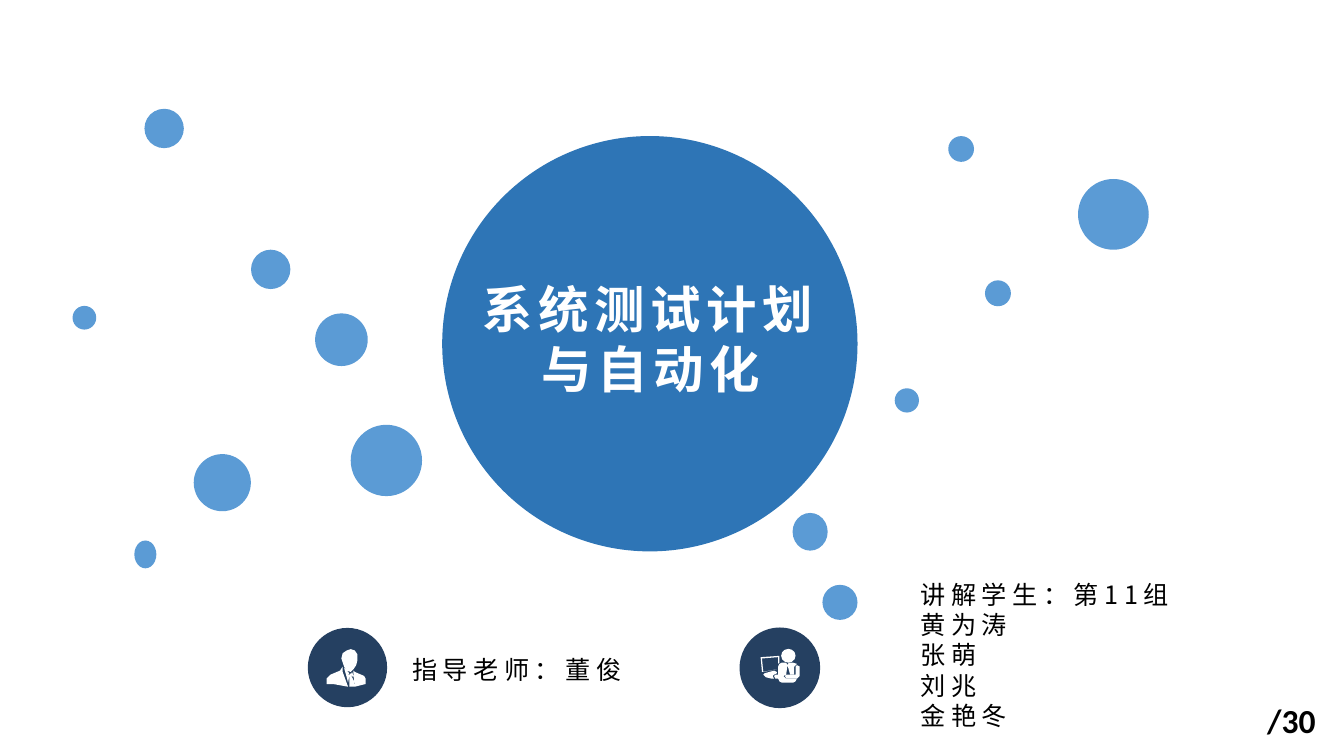
"""Build the title slide of a system test plan talk."""
from dataclasses import dataclass
from typing import Any

from lxml import etree
from pptx import Presentation
from pptx import util as u
from pptx.dml.color import RGBColor
from pptx.enum import shapes, text
from pptx.oxml.ns import qn

WHITE = RGBColor(0xFF, 0xFF, 0xFF)
BLACK = RGBColor(0x00, 0x00, 0x00)
BLUE = RGBColor(0x2E, 0x75, 0xB6)
LIGHT_BLUE = RGBColor(0x5B, 0x9B, 0xD5)
NAVY = RGBColor(0x25, 0x40, 0x61)
CJK = "Noto Sans CJK SC"
GRID = u.Pt(0.72)

Outline = list[tuple[int, int]]


@dataclass(frozen=True)
class Circle:
    left: float
    top: float
    width: float
    height: float
    fill: RGBColor = LIGHT_BLUE


@dataclass(frozen=True)
class Label:
    left: float
    top: float
    width: float
    height: float
    lines: tuple[str, ...]
    size: float = 13.5
    color: RGBColor = BLACK
    font: str = CJK
    bold: bool = False
    spacing: int = 3
    align: Any = text.PP_ALIGN.LEFT


@dataclass(frozen=True)
class Icon:
    circles: tuple[Circle, ...]
    pieces: tuple[tuple[Outline, ...], ...]


CIRCLES = (
    Circle(236.9, 72.9, 222.5, 222.5, BLUE),
    Circle(72, 289.6, 11.8, 14.9),
    Circle(103.8, 243.3, 30.6, 30.6),
    Circle(187.9, 227.6, 38.2, 38.2),
    Circle(38.9, 163.9, 12.7, 12.7),
    Circle(168.8, 167.9, 28.2, 28.2),
    Circle(134.5, 133.8, 21.1, 21.1),
    Circle(479.3, 208, 13, 13),
    Circle(577.5, 95.9, 37.9, 37.9),
    Circle(440.6, 313.3, 18.8, 18.8),
    Circle(424.6, 274.8, 18.8, 20.2),
    Circle(527.7, 150.2, 13.9, 13.9),
    Circle(508, 72.9, 13.8, 13.8),
    Circle(77.4, 58.3, 21.1, 21.1),
)

TEACHER = Icon(
    (Circle(164.9, 336.4, 42.5, 42.5, NAVY),),
    ((
        [(261, 501), (261, 502), (262, 504), (264, 508), (264, 511), (260, 511), (260, 502)],
        [(262, 500), (263, 503), (263, 504), (261, 502)],
        [(263, 499), (264, 500), (271, 503), (272, 505), (272, 509), (264, 511), (263, 501)],
        [(256, 497), (260, 501), (259, 502), (260, 502), (259, 508), (258, 504)],
        [(255, 496), (255, 500), (259, 511), (248, 509), (243, 509), (243, 505), (246, 502),
         (253, 499)],
        [(261, 483), (264, 484), (266, 487), (266, 491), (265, 495), (263, 498), (261, 500),
         (258, 499), (256, 496), (255, 493), (254, 490), (255, 486), (258, 484)],
    ),),
)

STUDENT = Icon(
    (Circle(396.2, 336.2, 43.2, 43.2, NAVY), Circle(418.5, 347.6, 7.7, 7.4, WHITE)),
    (
        ([(580, 488), (580, 493), (579, 494), (579, 489), (567, 490), (568, 500), (578, 498),
          (567, 500), (566, 489)],),
        ([(576, 499), (578, 500), (578, 501), (576, 502), (575, 503), (576, 505), (574, 505),
          (570, 504), (568, 502), (569, 501)],),
        ([(587, 493), (590, 493), (593, 494), (591, 496), (591, 502), (588, 502), (586, 495)],
         [(582, 493), (585, 493), (586, 495), (585, 502), (583, 503), (585, 505), (593, 505),
          (592, 507), (590, 508), (582, 508), (580, 507), (579, 505), (577, 505), (576, 503),
          (577, 502), (579, 502), (579, 496), (580, 494)]),
        ([(593, 495), (595, 496), (595, 503), (593, 505), (585, 505), (584, 503), (585, 502),
          (592, 502), (592, 496)],),
    ),
)

LABELS = (
    Label(671.8, 371.5, 47.5, 28.8, ("/30",), 18, font="Calibri", bold=True, spacing=0),
    Label(244.8, 145.4, 207.4, 72.7, ("系统测试计划与自动化",), 27, WHITE, bold=True,
          align=text.PP_ALIGN.CENTER),
    Label(213.8, 347, 159.8, 23.8, ("指导老师：董俊",)),
    Label(486, 306.7, 245.5, 89.3, ("讲解学生：第11组", "黄为涛", "张萌", "刘兆", "金艳冬")),
)


def paint(sp: Any, color: RGBColor) -> None:
    """Give a shape a plain fill without line or shadow."""
    sp.shadow.inherit = False
    sp.fill.solid()
    sp.fill.fore_color.rgb = color
    sp.line.fill.background()


def draw_circle(parent: Any, c: Circle) -> None:
    """Draw one filled ellipse."""
    box = (u.Pt(v) for v in (c.left, c.top, c.width, c.height))
    paint(parent.add_shape(shapes.MSO_SHAPE.OVAL, *box), c.fill)


def draw_icon(parent: Any, icon: Icon) -> None:
    """Draw a badge and its white figure as one group."""
    group = parent.add_group_shape().shapes
    for c in icon.circles:
        draw_circle(group, c)
    for outlines in icon.pieces:
        builder = group.build_freeform(*outlines[0][0], scale=GRID)
        builder.add_line_segments(outlines[0][1:])
        for outline in outlines[1:]:
            builder.move_to(*outline[0])
            builder.add_line_segments(outline[1:])
        paint(builder.convert_to_shape(), WHITE)


def draw_label(parent: Any, label: Label) -> None:
    """Draw a text box with one paragraph per line."""
    box = (u.Pt(v) for v in (label.left, label.top, label.width, label.height))
    tf = parent.add_textbox(*box).text_frame
    tf.word_wrap = True
    tf.text = "\n".join(label.lines)
    for p in tf.paragraphs:
        p.alignment = label.align
        p.line_spacing = u.Pt(label.size * 1.2)
        p.font.size = u.Pt(label.size)
        p.font.bold = label.bold
        p.font.color.rgb = label.color
        p.font.name = label.font
        props = p._p.pPr.find(qn("a:defRPr"))
        props.set("spc", str(label.spacing * 100))
        etree.SubElement(props, qn("a:ea")).set("typeface", label.font)


def main() -> None:
    """Assemble and save the slide."""
    prs = Presentation()
    prs.slide_width, prs.slide_height = u.Pt(720), u.Pt(405)
    s = prs.slides.add_slide(prs.slide_layouts[6])
    for c in CIRCLES:
        draw_circle(s.shapes, c)
    for icon in (TEACHER, STUDENT):
        draw_icon(s.shapes, icon)
    for label in LABELS:
        draw_label(s.shapes, label)
    prs.save("out.pptx")


if __name__ == "__main__":
    main()
